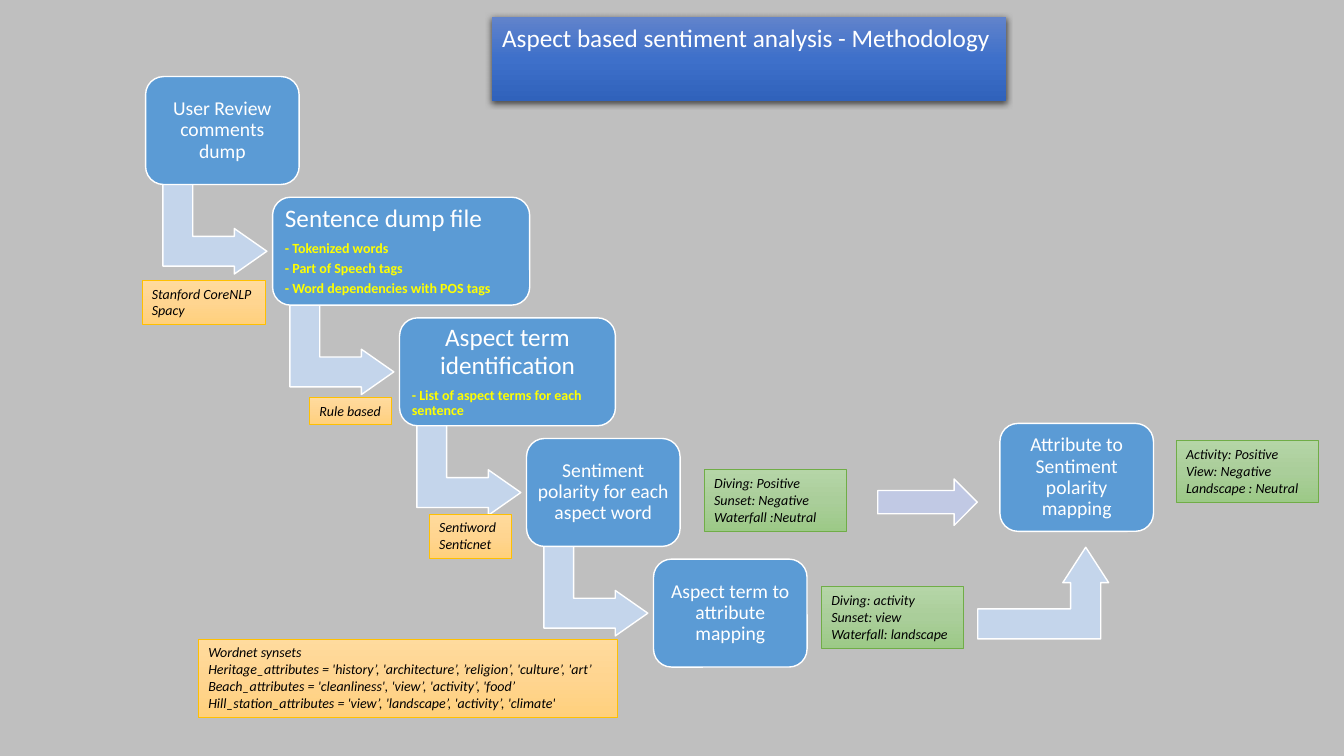
from copy import deepcopy
from dataclasses import dataclass

from lxml.etree import SubElement
from pptx import Presentation
from pptx.dml.color import RGBColor
from pptx.enum.shapes import MSO_SHAPE
from pptx.enum.text import MSO_ANCHOR, MSO_AUTO_SIZE, PP_ALIGN
from pptx.oxml.ns import qn
from pptx.util import Cm, Pt


@dataclass(frozen=True)
class Theme:
    font: str = "Calibri"
    heading: int = 18
    body: int = 14
    small: int = 10
    background: str = "BFBFBF"
    white: str = "FFFFFF"
    black: str = "000000"
    yellow: str = "FFFF00"
    box: str = "5B9BD5"
    arrow: str = "C4D5EB"
    mapping_arrow: str = "C1C9E4"
    title: tuple = ("6183CB", "3E70CA", "3062BB")
    tool: tuple = ("FFDB9E", "FFD590", "FFD07C")
    tool_line: str = "FFC000"
    result: tuple = ("B5D5A7", "AACE9A", "9CC987")
    result_line: str = "70AD47"


T = Theme()


def paint(sp, fill, line=None, width=1):
    """Fill with one colour, or top to bottom with a tuple of three, and outline."""
    sp.shadow.inherit = False
    if isinstance(fill, tuple):
        sp.fill.gradient()
        sp.fill.gradient_angle = 270
        stops = sp._element.spPr.find(".//" + qn("a:gsLst"))
        stops.insert(1, deepcopy(stops[0]))
        for stop, color, position in zip(sp.fill.gradient_stops, fill, (0, 0.5, 1)):
            stop.color.rgb = RGBColor.from_string(color)
            stop.position = position
    else:
        sp.fill.solid()
        sp.fill.fore_color.rgb = RGBColor.from_string(fill)
    if line:
        sp.line.color.rgb = RGBColor.from_string(line)
        sp.line.width = Pt(width)
    else:
        sp.line.fill.background()


def write(tf, text, size=T.small, color=T.black, bold=False, italic=False,
          align=PP_ALIGN.LEFT, spacing=1.0, after=0):
    """Add one paragraph per line; after is a share of the type size."""
    for line in text.split("\n"):
        p = tf.add_paragraph() if tf.text else tf.paragraphs[0]
        p.alignment = align
        p.line_spacing = spacing
        p.space_after = Pt(size * after)
        r = p.add_run()
        r.text = line
        r.font.name = T.font
        r.font.size = Pt(size)
        r.font.bold = bold
        r.font.italic = italic
        r.font.color.rgb = RGBColor.from_string(color)


prs = Presentation()
prs.slide_width, prs.slide_height = Cm(33.87), Cm(19.05)
s = prs.slides.add_slide(prs.slide_layouts[5])
s.background.fill.solid()
s.background.fill.fore_color.rgb = RGBColor.from_string(T.background)

# Title
title = s.shapes.title
title.left, title.top, title.width, title.height = Cm(12.4), Cm(0.43), Cm(12.95), Cm(1.02)
paint(title, T.title)
shadow = SubElement(title._element.spPr.find(qn("a:effectLst")), qn("a:outerShdw"),
                    blurRad=str(Pt(4.5)), dist=str(Pt(1.5)), dir="5400000",
                    algn="ctr", rotWithShape="0")
shadow_color = SubElement(shadow, qn("a:srgbClr"), val=T.black)
SubElement(shadow_color, qn("a:alpha"), val="63000")
tf = title.text_frame
tf.word_wrap = False
tf.auto_size = MSO_AUTO_SIZE.SHAPE_TO_FIT_TEXT
tf.vertical_anchor = MSO_ANCHOR.TOP
write(tf, "Aspect based sentiment analysis - Methodology", size=T.heading, color=T.white)

# Stages: a staircase of five, then the final mapping to the right
BOX_W, BOX_H = 3.87, 2.72
stages = [
    ("User Review comments dump", "", BOX_W, PP_ALIGN.CENTER),
    ("Sentence dump file",
     "- Tokenized words\n- Part of Speech tags\n- Word dependencies with POS tags",
     6.48, PP_ALIGN.LEFT),
    ("Aspect term identification", "- List of aspect terms for each sentence",
     5.44, PP_ALIGN.CENTER),
    ("Sentiment polarity for each aspect word", "", BOX_W, PP_ALIGN.CENTER),
    ("Aspect term to attribute mapping", "", BOX_W, PP_ALIGN.CENTER),
    ("Attribute to Sentiment polarity mapping", "", BOX_W, PP_ALIGN.CENTER),
]
for i, (heading, details, width, align) in enumerate(stages):
    x, y = (3.67 + 3.2 * i, 1.93 + 3.04 * i) if i < 5 else (25.2, 10.67)
    if i < 4:
        arrow = s.shapes.add_shape(MSO_SHAPE.BENT_UP_ARROW, Cm(x + 0.6), Cm(y + 2.52),
                                   Cm(2.29), Cm(2.62))
        arrow.rotation = 90
        for k, value in enumerate((0.328, 0.25, 0.358)):
            arrow.adjustments[k] = value
        paint(arrow, T.arrow, T.white)
    box = s.shapes.add_shape(MSO_SHAPE.ROUNDED_RECTANGLE, Cm(x), Cm(y), Cm(width), Cm(BOX_H))
    paint(box, T.box, T.white)
    tf = box.text_frame
    tf.word_wrap = True
    tf.vertical_anchor = MSO_ANCHOR.MIDDLE
    inset = Cm(0.18 if details else 0.15)
    tf.margin_left = tf.margin_right = tf.margin_top = tf.margin_bottom = inset
    write(tf, heading, size=T.heading if details else T.body, color=T.white,
          align=align, spacing=0.9, after=0.35)
    if details:
        write(tf, details, color=T.yellow, bold=True, spacing=0.9, after=0.35)

# Arrows into the final mapping
up_arrow = s.shapes.add_shape(MSO_SHAPE.BENT_UP_ARROW, Cm(24.64), Cm(13.79), Cm(3.3), Cm(2.31))
for k, value in enumerate((0.328, 0.25, 0.387)):
    up_arrow.adjustments[k] = value
paint(up_arrow, T.arrow, T.white)
right_arrow = s.shapes.add_shape(MSO_SHAPE.RIGHT_ARROW, Cm(22.12), Cm(12.07), Cm(2.51), Cm(1.17))
paint(right_arrow, T.mapping_arrow, T.white)

# Notes: tools in orange, example results in green
TOOL, RESULT = (T.tool, T.tool_line), (T.result, T.result_line)
notes = [
    (3.58, 7.06, 3.12, TOOL, "Stanford CoreNLP\nSpacy"),
    (7.8, 10.01, 2.06, TOOL, "Rule based"),
    (10.82, 12.95, 2.06, TOOL, "Sentiword\nSenticnet"),
    (5, 16.1, 10.57, TOOL,
     "Wordnet synsets\n"
     "Heritage_attributes = 'history’, 'architecture’, ’religion’, 'culture’, 'art’\n"
     "Beach_attributes = 'cleanliness', 'view’, 'activity’, 'food’\n"
     "Hill_station_attributes = 'view’, 'landscape’, 'activity’, 'climate'"),
    (17.75, 11.84, 3.58, RESULT, "Diving: Positive\nSunset: Negative\nWaterfall :Neutral"),
    (20.7, 14.78, 3.58, RESULT, "Diving: activity\nSunset: view\nWaterfall: landscape"),
    (29.64, 11.1, 3.58, RESULT, "Activity: Positive\nView: Negative\nLandscape : Neutral"),
]
for x, y, width, (fill, line), text in notes:
    height = 0.69 + 0.43 * text.count("\n")
    note = s.shapes.add_shape(MSO_SHAPE.RECTANGLE, Cm(x), Cm(y), Cm(width), Cm(height))
    paint(note, fill, line, width=0.5)
    tf = note.text_frame
    tf.word_wrap = True
    tf.auto_size = MSO_AUTO_SIZE.SHAPE_TO_FIT_TEXT
    tf.vertical_anchor = MSO_ANCHOR.TOP
    write(tf, text, italic=True)

prs.save("out.pptx")
